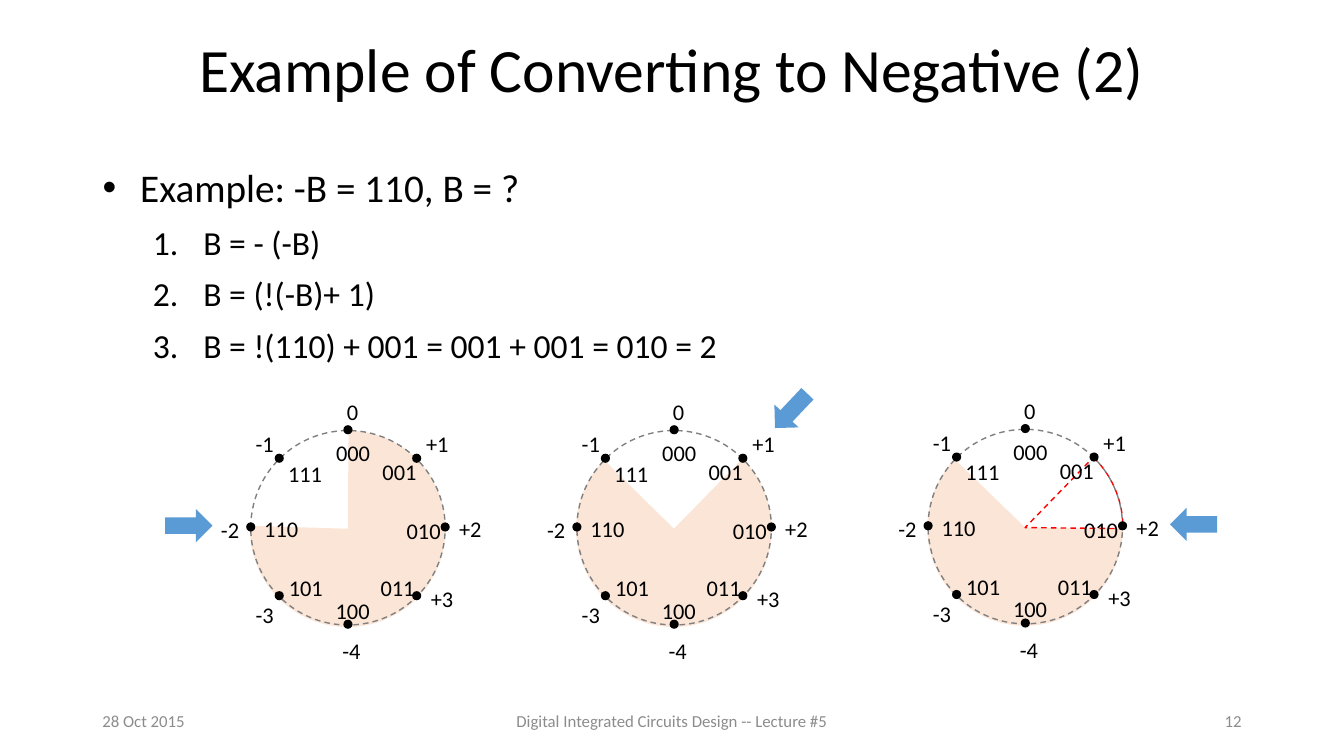
from math import cos, radians, sin

from lxml.etree import SubElement
from pptx import Presentation
from pptx.dml.color import RGBColor
from pptx.enum.dml import MSO_LINE
from pptx.enum.shapes import MSO_SHAPE as SHAPE
from pptx.enum.text import MSO_ANCHOR as ANCHOR, MSO_AUTO_SIZE as AUTO, PP_ALIGN as ALIGN
from pptx.oxml.ns import qn
from pptx.util import Cm, Pt

COLORS = {"text": "000000", "footer": "8C8C8C", "sector": "FBE5D6", "ring": "808080",
          "result": "FF0000", "blank": "FFFFFF", "arrow": "5B9BD5"}
DIAMETER, DOT = 4.9, 0.23
ARROW_W, ARROW_H = 0.84, 1.19
LABEL_H, CODE_W = 0.94, 1.37
VALUE_W = {"0": 0.81, "+": 1.09, "-": 0.97}
STATES = [
    ("000", 1.9, 0.09, "0", 2.17, -0.94),
    ("001", 3.07, 0.58, "+1", 4.17, -0.13),
    ("010", 3.68, 2.06, "+2", 5.0, 2.0),
    ("011", 3.02, 3.5, "+3", 4.29, 3.78),
    ("100", 1.89, 4.06, "-4", 2.06, 5.08),
    ("101", 0.71, 3.5, "-3", -0.13, 4.17),
    ("110", 0.09, 2.0, "-2", -1.0, 2.03),
    ("111", 0.69, 0.61, "-1", -0.13, -0.13),
]
DIALS = [
    {"x": 6.32, "y": 10.85, "sector": (270.5, 181.75), "arrow": (-1.98, 1.8, 270)},
    {"x": 14.54, "y": 10.85, "sector": (314.4, 224.5), "arrow": (4.98, -1.09, 43.4)},
    {"x": 23.39, "y": 10.82, "sector": (314.7, 224.1), "arrow": (6.27, 1.8, 90),
     "result": (314.2, 0.6)},
]


def rgb(name):
    """Return the named colour."""
    return RGBColor.from_string(COLORS[name])


def style_runs(p, size, color="text"):
    """Format every run of a paragraph."""
    for r in p.runs:
        r.font.name, r.font.size = "Calibri", Pt(size)
        r.font.color.rgb = rgb(color)


def place(sp, x, y, w, h):
    """Move and size a shape."""
    sp.left, sp.top, sp.width, sp.height = Cm(x), Cm(y), Cm(w), Cm(h)


def add_text(s, text, x, y, w, h, size, color="text", align=ALIGN.LEFT, wrap=False):
    """Add a one-line text box."""
    sp = s.shapes.add_textbox(Cm(x), Cm(y), Cm(w), Cm(h))
    tf = sp.text_frame
    tf.text, tf.word_wrap = text, wrap
    tf.vertical_anchor = ANCHOR.MIDDLE if wrap else ANCHOR.TOP
    tf.paragraphs[0].alignment = align
    style_runs(tf.paragraphs[0], size, color)


def add_figure(s, kind, x, y, w, h, fill=None, line=None):
    """Add a flat preset shape with an optional fill and dashed line."""
    sp = s.shapes.add_shape(kind, Cm(x), Cm(y), Cm(w), Cm(h))
    sp.shadow.inherit = False
    if fill:
        sp.fill.solid()
        sp.fill.fore_color.rgb = rgb(fill)
    else:
        sp.fill.background()
    if line:
        sp.line.color.rgb, sp.line.width = rgb(line), Pt(1)
        sp.line.dash_style = MSO_LINE.DASH
    else:
        sp.line.fill.background()
    return sp


def add_sector(s, x, y, angles, fill, line=None):
    """Add a pie that runs clockwise between two angles in degrees."""
    sp = add_figure(s, SHAPE.PIE, x - 0.02, y, DIAMETER + 0.03, DIAMETER + 0.05, fill, line)
    for i, angle in enumerate(angles):
        sp.adjustments[i] = angle * 0.6


def add_dial(s, x, y, sector, arrow, result=None):
    """Draw a number wheel with its sector, states and pointing arrow."""
    add_sector(s, x, y, sector, "sector")
    if result:
        add_sector(s, x, y, result, "blank", "result")
    add_figure(s, SHAPE.OVAL, x, y, DIAMETER, DIAMETER, line="ring")
    radius = DIAMETER / 2
    for i, (code, code_x, code_y, value, value_x, value_y) in enumerate(STATES):
        turn = radians(45 * i - 90)
        add_figure(s, SHAPE.OVAL, x + radius * (1 + cos(turn)) - DOT / 2,
                   y + radius * (1 + sin(turn)) - DOT / 2 - 0.02, DOT, DOT, "text")
        add_text(s, code, x + code_x, y + code_y, CODE_W, LABEL_H, 16)
        add_text(s, value, x + value_x, y + value_y, VALUE_W[value[0]], LABEL_H, 16)
    dx, dy, rotation = arrow
    sp = add_figure(s, SHAPE.DOWN_ARROW, x + dx, y + dy, ARROW_W, ARROW_H, "arrow")
    sp.rotation = rotation


def fill_title(sp, x, y, w, h):
    """Set the slide title."""
    place(sp, x, y, w, h)
    tf = sp.text_frame
    tf.text = "Example of Converting to Negative (2)"
    tf.auto_size, tf.vertical_anchor = AUTO.NONE, ANCHOR.MIDDLE
    p = tf.paragraphs[0]
    p.alignment, p.line_spacing = ALIGN.CENTER, 0.9
    style_runs(p, 44)


def fill_body(sp, x, y, w, h):
    """Set the example and its numbered steps."""
    place(sp, x, y, w, h)
    tf = sp.text_frame
    tf.text = "\n".join(["Example: -B = 110, B = ?", "B = - (-B)", "B = (!(-B)+ 1)",
                         "B = !(110) + 001 = 001 + 001 = 010 = 2"])
    tf.auto_size = AUTO.NONE
    for i, p in enumerate(tf.paragraphs):
        step = i > 0
        p.level = int(step)
        p.space_before = Pt(8 if step else 18)
        style_runs(p, 24 if step else 28)
        pPr = p._p.get_or_add_pPr()
        pPr.set("marL", str(Cm(2.54 if step else 0.95)))
        pPr.set("indent", str(Cm(-1.27 if step else -0.95)))
        if step:
            SubElement(pPr, qn("a:buFont"), typeface="+mj-lt")
            SubElement(pPr, qn("a:buAutoNum"), type="arabicPeriod")
        else:
            SubElement(pPr, qn("a:buFont"), typeface="Arial")
            SubElement(pPr, qn("a:buChar"), char="•")


def add_footer(s, x, y, w, h):
    """Place date, course and page number along the bottom."""
    side, middle = 7.62, 11.43
    for text, left, width, align in [
            ("28 Oct 2015", x, side, ALIGN.LEFT),
            ("Digital Integrated Circuits Design -- Lecture #5",
             x + (w - middle) / 2, middle, ALIGN.CENTER),
            ("12", x + w - side, side, ALIGN.RIGHT)]:
        add_text(s, text, left, y, width, h, 12, "footer", align, wrap=True)


def build_slide(prs):
    """Build the converting example slide."""
    s = prs.slides.add_slide(prs.slide_layouts[1])
    fill_title(s.shapes.title, 2.33, 0, 29.21, 3.68)
    fill_body(s.placeholders[1], 2.33, 3.99, 16.38, 5.77)
    add_footer(s, 2.33, 17.65, 29.21, 1.01)
    for dial in DIALS:
        add_dial(s, **dial)


prs = Presentation()
prs.slide_width, prs.slide_height = Cm(33.87), Cm(19.05)
build_slide(prs)
prs.save("out.pptx")
